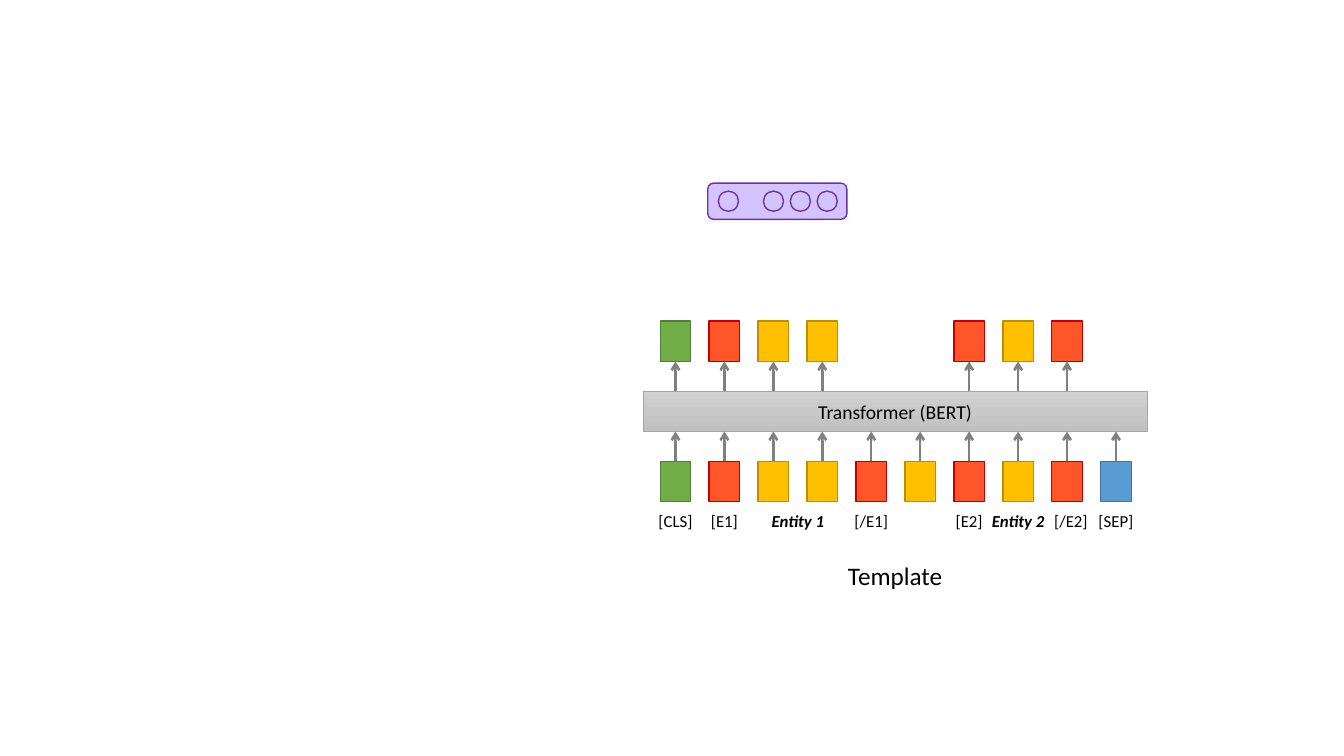
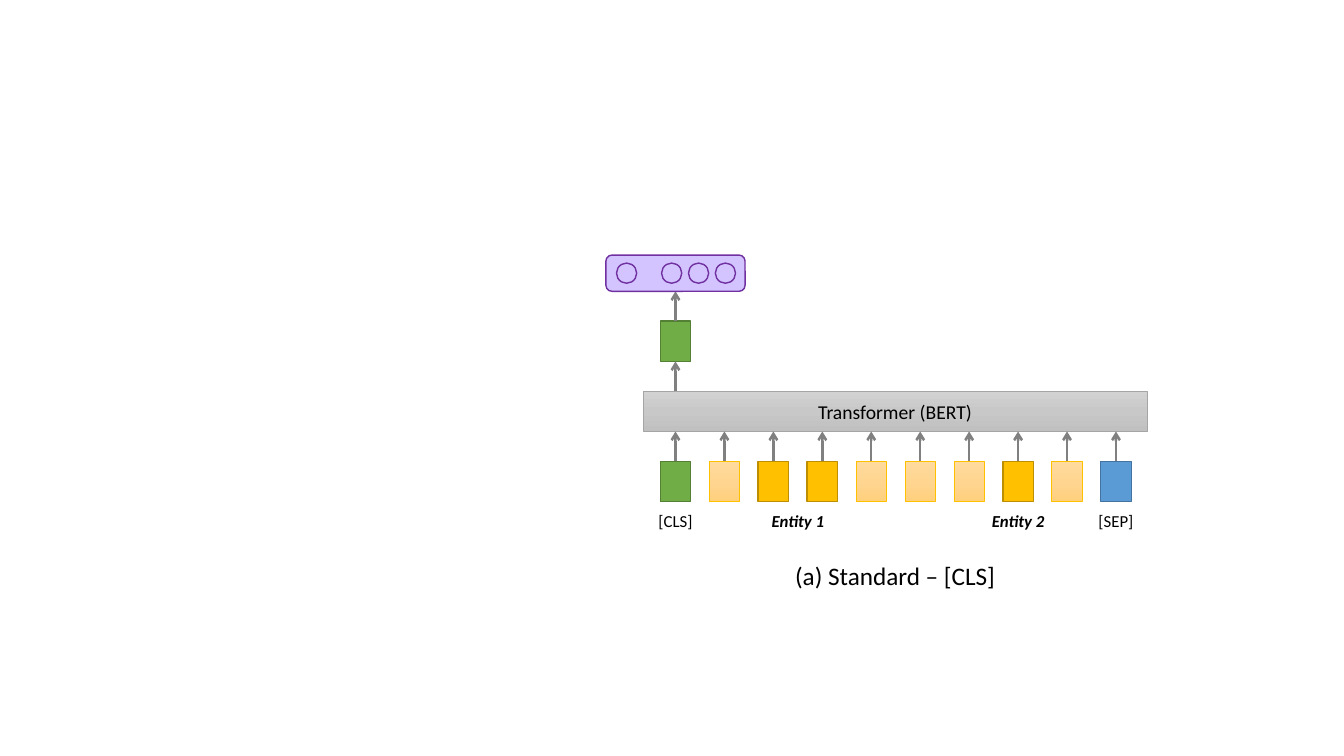
from copy import deepcopy

from pptx import Presentation
from pptx.dml.color import RGBColor
from pptx.enum import shapes as es, text as et
from pptx.oxml import ns, xmlchemy as xc
from pptx.util import Pt

FONT = "Calibri"
BLACK = RGBColor(0x00, 0x00, 0x00)
GREY = RGBColor(0x80, 0x80, 0x80)
SILVER = RGBColor(0xA5, 0xA5, 0xA5)
GREEN = RGBColor(0x70, 0xAD, 0x47)
MOSS = RGBColor(0x53, 0x80, 0x35)
RED = RGBColor(0xFF, 0x55, 0x28)
WINE = RGBColor(0xC0, 0x00, 0x00)
GOLD = RGBColor(0xFF, 0xC0, 0x00)
OCHRE = RGBColor(0xBD, 0x8E, 0x00)
BLUE = RGBColor(0x5B, 0x9B, 0xD5)
NAVY = RGBColor(0x43, 0x73, 0x9E)
LILAC = RGBColor(0xD3, 0xC4, 0xFF)
PLUM = RGBColor(0x70, 0x30, 0xA0)
STEEL = [RGBColor(v, v, v) for v in (0xD2, 0xC8, 0xC0)]
PEACH = [RGBColor(0xFF, 0xDB, 0x9E), RGBColor(0xFF, 0xD5, 0x90),
         RGBColor(0xFF, 0xD0, 0x7C)]

# Token kind: fill, line colour, line width
KINDS = {
    "cls": (GREEN, MOSS, 1),
    "tag": (RED, WINE, 1),
    "word": (GOLD, OCHRE, 1),
    "soft": (PEACH, GOLD, 0.5),
    "sep": (BLUE, NAVY, 1),
}

# Columns of tokens: centre of the first one, then an even pitch
FIRST, PITCH = 482.5, 34.96
BOX_W, BOX_H = 21.8, 28.8
BAR_X, BAR_W = 459.4, 360
OUT_Y, BAR_Y, IN_Y = 229.4, 279.4, 329.6
LABEL_Y, TITLE_Y = 361.4, 396.7
PILL_W, PILL_H = 99.4, 25.9
DOT, DOT_GAP = 14.4, 19.2


def mid(slot):
    """Centre of a token column; fractions lie between columns."""
    return FIRST + PITCH * slot


def shade(shape, tones):
    """Fill from top to bottom with three tones."""
    shape.fill.gradient()
    shape.fill.gradient_angle = 270
    stops = shape.element.spPr.find(".//" + ns.qn("a:gsLst"))
    stops.insert(1, deepcopy(stops[0]))
    stops[1].set("pos", "50000")
    for stop, tone in zip(shape.fill.gradient_stops, tones):
        stop.color.rgb = tone


def draw(parent, form, x, y, w, h, fill, line, width=1):
    shape = parent.add_shape(form, Pt(x), Pt(y), Pt(w), Pt(h))
    shape.shadow.inherit = False
    if isinstance(fill, list):
        shade(shape, fill)
    else:
        shape.fill.solid()
        shape.fill.fore_color.rgb = fill
    shape.line.color.rgb = line
    shape.line.width = Pt(width)
    return shape


def write(frame, words, size, strong=False):
    frame.word_wrap = True
    para = frame.paragraphs[0]
    para.alignment = et.PP_ALIGN.CENTER
    run = para.add_run()
    run.text = words
    font = run.font
    font.name, font.size = FONT, Pt(size)
    font.color.rgb = BLACK
    if strong:
        font.bold = font.italic = True


def label(slide, words, centre, y, w, h, size, strong=False):
    box = slide.shapes.add_textbox(Pt(centre - w / 2), Pt(y), Pt(w), Pt(h))
    write(box.text_frame, words, size, strong)


def arrow(slide, slot, low, high):
    x = Pt(mid(slot))
    line = slide.shapes.add_connector(
        es.MSO_CONNECTOR.STRAIGHT, x, Pt(low), x, Pt(high))
    line.line.color.rgb = GREY
    line.line.width = Pt(1.75)
    props = line.element.spPr
    tip = xc.OxmlElement("a:tailEnd")
    tip.set("type", "arrow")
    props.find(ns.qn("a:ln")).append(tip)
    props.append(xc.OxmlElement("a:effectLst"))


def token(slide, slot, y, kind):
    draw(slide.shapes, es.MSO_SHAPE.RECTANGLE, mid(slot) - BOX_W / 2, y,
         BOX_W, BOX_H, *KINDS[kind])


def pill(slide, slot, y):
    """Result vector: one dot set apart from three others."""
    group = slide.shapes.add_group_shape().shapes
    x = mid(slot) - PILL_W / 2
    draw(group, es.MSO_SHAPE.ROUNDED_RECTANGLE, x, y, PILL_W, PILL_H,
         LILAC, PLUM)
    for left in [7.6] + [39.8 + DOT_GAP * i for i in range(3)]:
        draw(group, es.MSO_SHAPE.OVAL, x + left, y + (PILL_H - DOT) / 2,
             DOT, DOT, LILAC, PLUM)


def model(deck, title, kinds, outs, tags):
    """Slide with the encoder, its input tokens and the outputs in use."""
    slide = deck.slides.add_slide(deck.slide_layouts[6])
    bar = draw(slide.shapes, es.MSO_SHAPE.RECTANGLE, BAR_X, BAR_Y,
               BAR_W, BOX_H, STEEL, SILVER, 0.5)
    bar.text_frame.vertical_anchor = et.MSO_ANCHOR.MIDDLE
    write(bar.text_frame, "Transformer (BERT)", 14)
    for slot, kind in enumerate(kinds):
        token(slide, slot, IN_Y, kind)
        arrow(slide, slot, IN_Y, BAR_Y + BOX_H)
    for slot in outs:
        token(slide, slot, OUT_Y, kinds[slot])
        arrow(slide, slot, BAR_Y, OUT_Y + BOX_H)
    ends = [("[CLS]", 0), ("[SEP]", 9)]
    for words, slot in ends + tags:
        label(slide, words, mid(slot), LABEL_Y, 42, 21.6, 12)
    for words, slot in [("Entity 1", 2.5), ("Entity 2", 7)]:
        label(slide, words, mid(slot), LABEL_Y, 63, 21.6, 12, True)
    label(slide, title, BAR_X + BAR_W / 2, TITLE_Y, BAR_W, 28.8, 18)
    return slide


def main():
    deck = Presentation()
    deck.slide_width, deck.slide_height = Pt(960), Pt(540)

    marked = ["cls", "tag", "word", "word", "tag",
              "word", "tag", "word", "tag", "sep"]
    tags = [("[E1]", 1), ("[/E1]", 4), ("[E2]", 6), ("[/E2]", 8.08)]
    slide = model(deck, "Template", marked, [0, 1, 2, 3, 6, 7, 8], tags)
    pill(slide, 2.08, 130.8)

    plain = ["soft" if kind == "tag" else kind for kind in marked]
    plain[5] = "soft"
    slide = model(deck, "(a) Standard – [CLS]", plain, [0], [])
    pill_y = 182.2
    arrow(slide, 0, OUT_Y, pill_y + PILL_H)
    pill(slide, 0, pill_y)

    deck.save("out.pptx")


if __name__ == "__main__":
    main()
